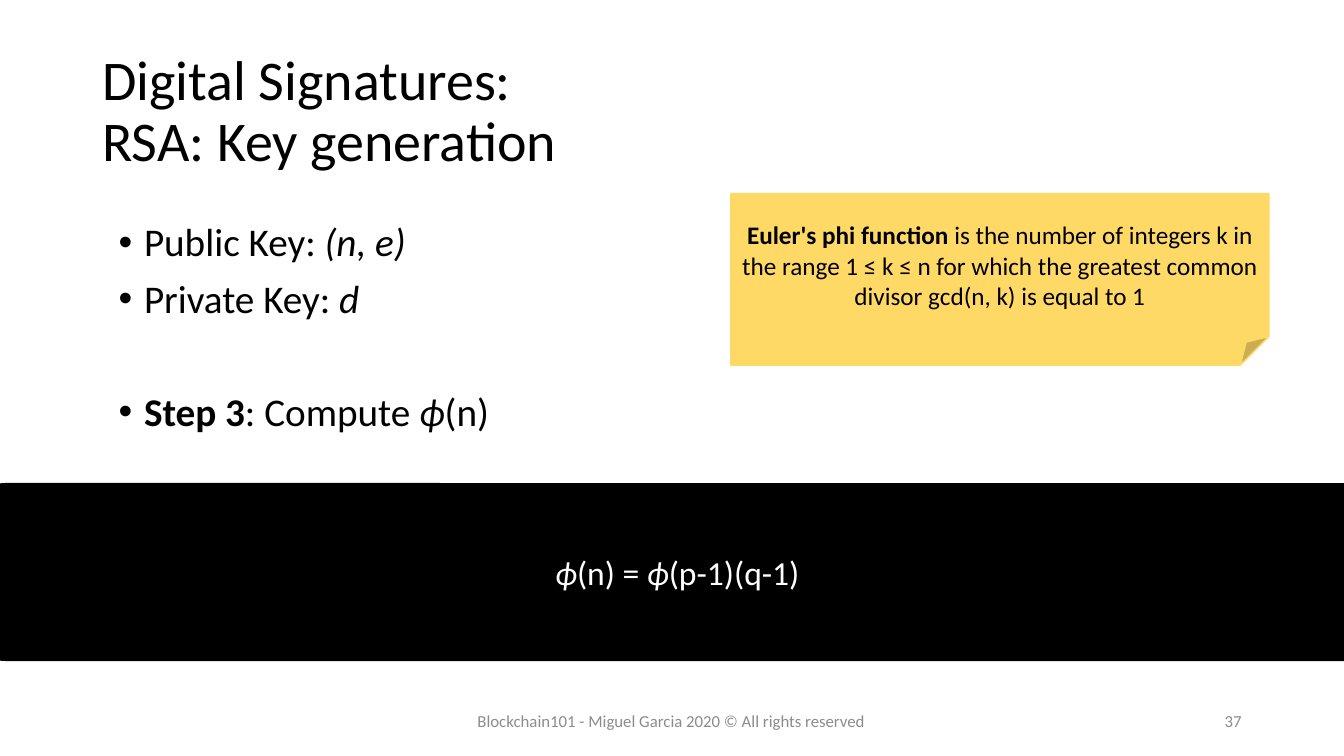
from lxml import etree
from pptx import Presentation
from pptx.dml.color import RGBColor
from pptx.enum.shapes import MSO_SHAPE
from pptx.enum.text import MSO_ANCHOR, PP_ALIGN
from pptx.oxml.ns import qn
from pptx.util import Cm, Pt

BLACK = RGBColor(0x00, 0x00, 0x00)
WHITE = RGBColor(0xFF, 0xFF, 0xFF)
GREY = RGBColor(0x8C, 0x8C, 0x8C)
YELLOW = RGBColor(0xFF, 0xD9, 0x66)


def write_spans(paragraph, spans, size, color):
    for text, style in spans:
        span = paragraph.add_run()
        span.text = text
        font_format = {"name": "Calibri", "size": Pt(size), **style}
        for attribute, value in font_format.items():
            setattr(span.font, attribute, value)
        span.font.color.rgb = color


def prepare_frame(box, anchor):
    frame = box.text_frame
    frame.word_wrap = True
    frame.vertical_anchor = anchor
    return frame


ITALIC = {"italic": True}
BOLD = {"bold": True}

deck = Presentation()
deck.slide_width = Cm(33.87)
deck.slide_height = Cm(19.05)
page = deck.slides.add_slide(deck.slide_layouts[6])

title_box = page.shapes.add_textbox(Cm(2.33), Cm(1.01), Cm(29.21), Cm(3.68))
title = prepare_frame(title_box, MSO_ANCHOR.MIDDLE).paragraphs[0]
title.line_spacing = 0.9
write_spans(title, [("Digital Signatures:", {})], 40, BLACK)
title.add_line_break()
write_spans(title, [("RSA: Key generation", {})], 40, BLACK)

footers = [
    (23.92, 7.62, PP_ALIGN.RIGHT, "37"),
    (10.34, 13.16, PP_ALIGN.CENTER,
     "Blockchain101 - Miguel Garcia 2020 © All rights reserved"),
]
for left, width, alignment, text in footers:
    footer_box = page.shapes.add_textbox(Cm(left), Cm(17.65), Cm(width), Cm(1.02))
    footer = prepare_frame(footer_box, MSO_ANCHOR.MIDDLE).paragraphs[0]
    footer.alignment = alignment
    write_spans(footer, [(text, {})], 12, GREY)

bullets = [
    (0, [("Public Key: ", {}), ("(n, e)", ITALIC)]),
    (10, [("Private Key: ", {}), ("d", ITALIC)]),
    (50.5, [("Step 3", BOLD), (": Compute ", {}), ("ϕ", ITALIC), ("(n)", {})]),
]
body_box = page.shapes.add_textbox(Cm(2.74), Cm(5.49), Cm(29.21), Cm(12.09))
body = prepare_frame(body_box, MSO_ANCHOR.TOP)
for index, (space_before, spans) in enumerate(bullets):
    paragraph = body.add_paragraph() if index else body.paragraphs[0]
    paragraph.line_spacing = 0.9
    paragraph.space_before = Pt(space_before)
    properties = paragraph._p.get_or_add_pPr()
    properties.set("marL", str(Cm(0.64)))
    properties.set("indent", str(Cm(-0.64)))
    etree.SubElement(properties, qn("a:buFont")).set("typeface", "Arial")
    etree.SubElement(properties, qn("a:buChar")).set("char", "•")
    write_spans(paragraph, spans, 28, BLACK)

panels = [
    (MSO_SHAPE.FOLDED_CORNER, (18.42, 4.88, 13.56, 4.32), YELLOW, 18, BLACK, [
        ("Euler's phi function ", BOLD),
        ("is the number of integers k in the range 1 ≤ k ≤ n for which "
         "the greatest common divisor gcd(n, k) is equal to 1", {}),
    ]),
    (MSO_SHAPE.ROUNDED_RECTANGLE, (-0.61, 12.19, 35.36, 4.45), BLACK, 24, WHITE, [
        ("ϕ", ITALIC), ("(n) = ", {}), ("ϕ", ITALIC), ("(p-1)(q-1)", {}),
    ]),
]
for preset, bounds, fill_color, size, text_color, spans in panels:
    panel = page.shapes.add_shape(preset, *map(Cm, bounds))
    panel.shadow.inherit = False
    panel.fill.solid()
    panel.fill.fore_color.rgb = fill_color
    panel.line.color.rgb = fill_color
    panel.line.width = Pt(1)
    paragraph = prepare_frame(panel, MSO_ANCHOR.MIDDLE).paragraphs[0]
    paragraph.alignment = PP_ALIGN.CENTER
    write_spans(paragraph, spans, size, text_color)

deck.save("out.pptx")
